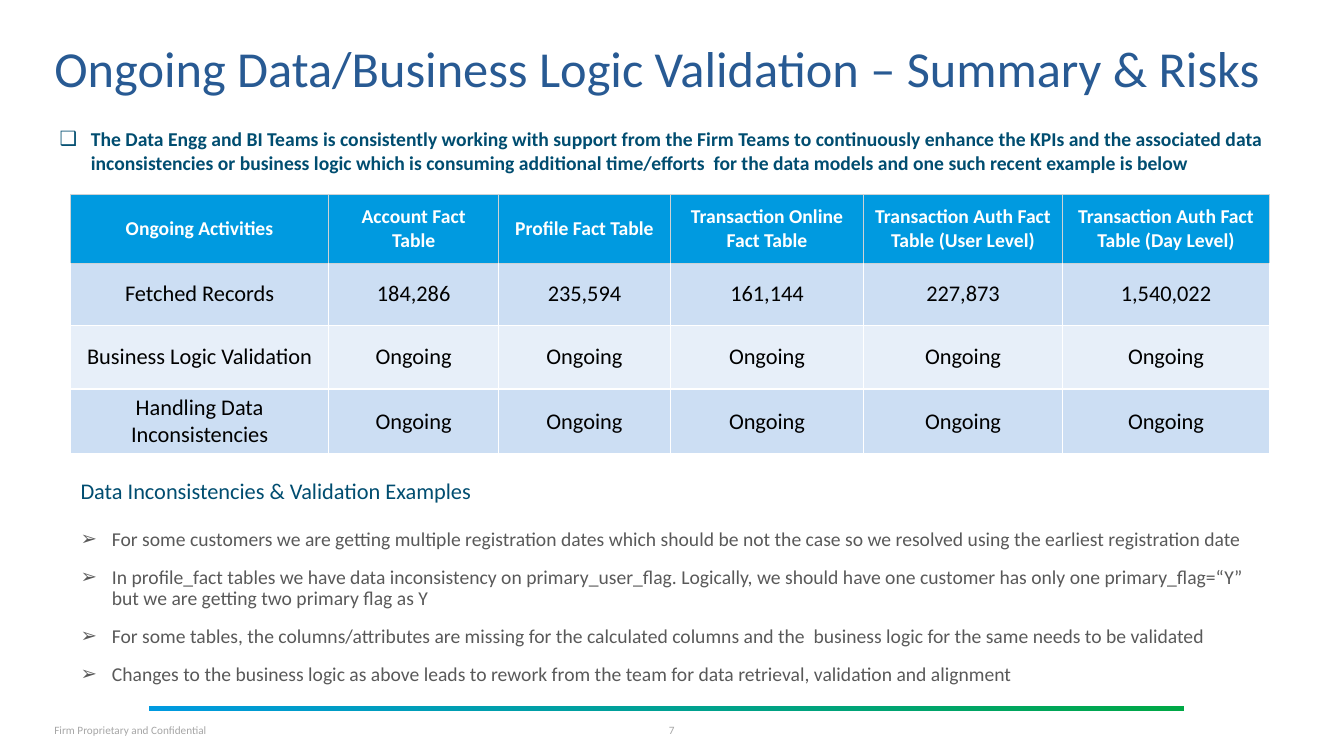
from lxml.etree import SubElement
from pptx import Presentation
from pptx.dml.color import RGBColor
from pptx.enum.shapes import MSO_SHAPE as Shape
from pptx.enum.text import MSO_ANCHOR as Anchor, MSO_AUTO_SIZE as AutoSize, PP_ALIGN as Align
from pptx.oxml import parse_xml
from pptx.oxml.ns import nsdecls, qn
from pptx.util import Cm, Pt


def colour(value):
    return RGBColor.from_string(value)


def write(frame, lines, size, hue, bold=False, align=Align.LEFT, spacing=1.0, before=0, bullet=None):
    """Fill a text frame with evenly formatted paragraphs."""
    frame.text = "\n".join(lines)
    frame.word_wrap = True
    for paragraph in frame.paragraphs:
        paragraph.alignment = align
        paragraph.line_spacing = spacing
        paragraph.space_before = Pt(before)
        if bullet:
            props = paragraph._p.get_or_add_pPr()
            props.set("marL", str(Cm(0.79)))
            props.set("indent", str(-Cm(0.79)))
            SubElement(props, qn("a:buChar")).set("char", bullet)
        for run in paragraph.runs:
            run.font.name = "Calibri"
            run.font.size = Pt(size)
            run.font.bold = bold
            run.font.color.rgb = colour(hue)


NAVY, BLUE, GREY = "004D70", "009AE0", "A6A6A6"

deck = Presentation()
deck.slide_width, deck.slide_height = Cm(33.87), Cm(19.05)
slide = deck.slides.add_slide(deck.slide_layouts.get_by_name("Two Content"))
title, intro, examples = slide.placeholders

# Title, introduction and list of examples: box and insets (left, top, right, bottom)
for part, box, insets, anchor in [
    (title, (1.37, 0.46, 31.12, 2.26), (0, 0.51, 0, 0), Anchor.MIDDLE),
    (intro, (1.37, 2.67, 30.63, 2.24), (0.13, 0.05, 0.13, 0.05), Anchor.MIDDLE),
    (examples, (1.78, 13.21, 30.23, 4.47), (0.25, 0.13, 0.25, 0.13), Anchor.TOP),
]:
    part.left, part.top, part.width, part.height = map(Cm, box)
    frame = part.text_frame
    frame.auto_size = AutoSize.NONE
    frame.vertical_anchor = anchor
    frame.margin_left, frame.margin_top, frame.margin_right, frame.margin_bottom = map(Cm, insets)

write(title.text_frame, ["Ongoing Data/Business Logic Validation – Summary & Risks"],
      36, "285A93", spacing=0.8)
write(intro.text_frame, [
    "The Data Engg and BI Teams is consistently working with support from the Firm Teams to "
    "continuously enhance the KPIs and the associated data inconsistencies or business logic which "
    "is consuming additional time/efforts  for the data models and one such recent example is below",
], 14, NAVY, bold=True, bullet="❑")
write(examples.text_frame, [
    "For some customers we are getting multiple registration dates which should be not the case "
    "so we resolved using the earliest registration date",
    "In profile_fact tables we have data inconsistency on primary_user_flag. Logically, we should "
    "have one customer has only one primary_flag=“Y” but we are getting two primary flag as Y",
    "For some tables, the columns/attributes are missing for the calculated columns and the  "
    "business logic for the same needs to be validated",
    "Changes to the business logic as above leads to rework from the team for data retrieval, "
    "validation and alignment",
], 14, "595959", spacing=0.9, before=12, bullet="➢")

# Activities table
activities = [
    ["Ongoing Activities", "Account Fact Table", "Profile Fact Table",
     "Transaction Online Fact Table", "Transaction Auth Fact Table (User Level)",
     "Transaction Auth Fact Table (Day Level)"],
    ["Fetched Records", "184,286", "235,594", "161,144", "227,873", "1,540,022"],
    ["Business Logic Validation"] + ["Ongoing"] * 5,
    ["Handling Data Inconsistencies"] + ["Ongoing"] * 5,
]
column_widths = [6.5, 4.29, 4.32, 4.88, 5, 5.23]
row_heights = [1.73, 1.57, 1.6, 1.6]
row_fills = [BLUE, "CCDEF3", "E7EFF9", "CCDEF3"]
table = slide.shapes.add_table(len(row_heights), len(column_widths), Cm(1.78), Cm(4.9),
                               Cm(sum(column_widths)), Cm(sum(row_heights))).table
for column, width in zip(table.columns, column_widths):
    column.width = Cm(width)
for r, (row, height) in enumerate(zip(table.rows, row_heights)):
    row.height = Cm(height)
    header = r == 0
    for cell, label in zip(row.cells, activities[r]):
        write(cell.text_frame, [label], 14 if header else 16,
              "FFFFFF" if header else "000000", bold=header, align=Align.CENTER)
        cell.vertical_anchor = Anchor.MIDDLE
        cell.fill.solid()
        cell.fill.fore_color.rgb = colour(row_fills[r])
        for position, side in enumerate("LRTB"):
            grey_edge = header or (r == 1 and side == "T")
            edge = "CDD2D5" if grey_edge else "FFFFFF"
            cell._tc.get_or_add_tcPr().insert(position, parse_xml(
                f'<a:ln{side} {nsdecls("a")} w="{Pt(1)}"><a:solidFill>'
                f'<a:srgbClr val="{edge}"/></a:solidFill></a:ln{side}>'))

# Heading of the examples
heading = slide.shapes.add_textbox(Cm(1.78), Cm(11.91), Cm(13.77), Cm(0.94))
write(heading.text_frame, ["Data Inconsistencies & Validation Examples"], 16, NAVY)

# Footer: gradient rule, confidentiality note and page number
rule = slide.shapes.add_shape(Shape.RECTANGLE, Cm(3.76), Cm(17.78), Cm(26.09), Cm(0.13))
rule.shadow.inherit = False
rule.line.fill.background()
rule.fill.gradient()
rule.fill.gradient_angle = 0
for stop, position, hue in zip(rule.fill.gradient_stops, (0, 1), (BLUE, "00A846")):
    stop.position = position
    stop.color.rgb = colour(hue)

for note, left, width, align in [
    ("Firm Proprietary and Confidential", 1.37, 4.09, Align.LEFT),
    ("7", 16.46, 0.94, Align.CENTER),
]:
    frame = slide.shapes.add_textbox(Cm(left), Cm(18.11), Cm(width), Cm(0.58)).text_frame
    frame.margin_left = frame.margin_top = frame.margin_right = frame.margin_bottom = 0
    frame.vertical_anchor = Anchor.MIDDLE
    write(frame, [note], 8, GREY, align=align)

deck.save("out.pptx")
